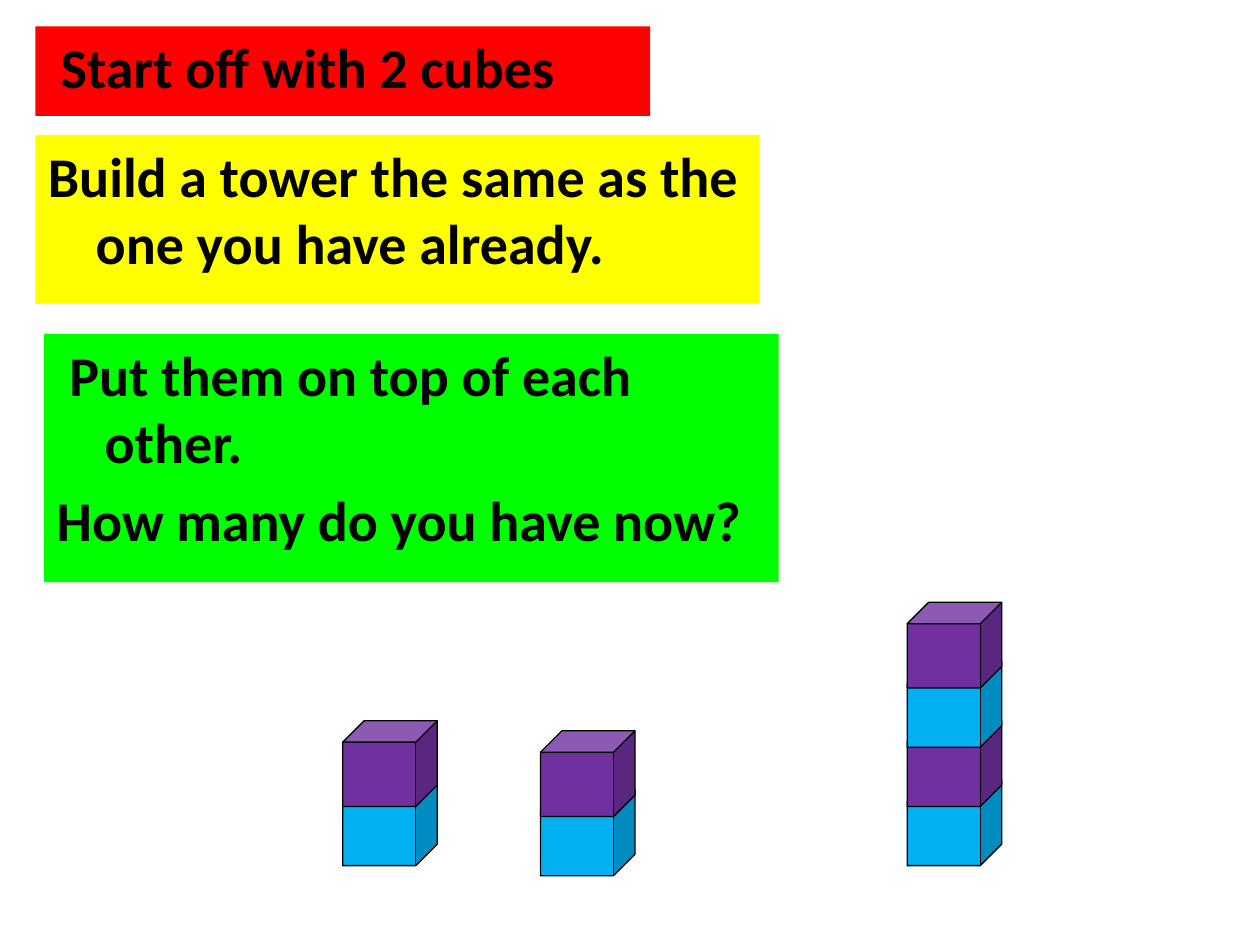
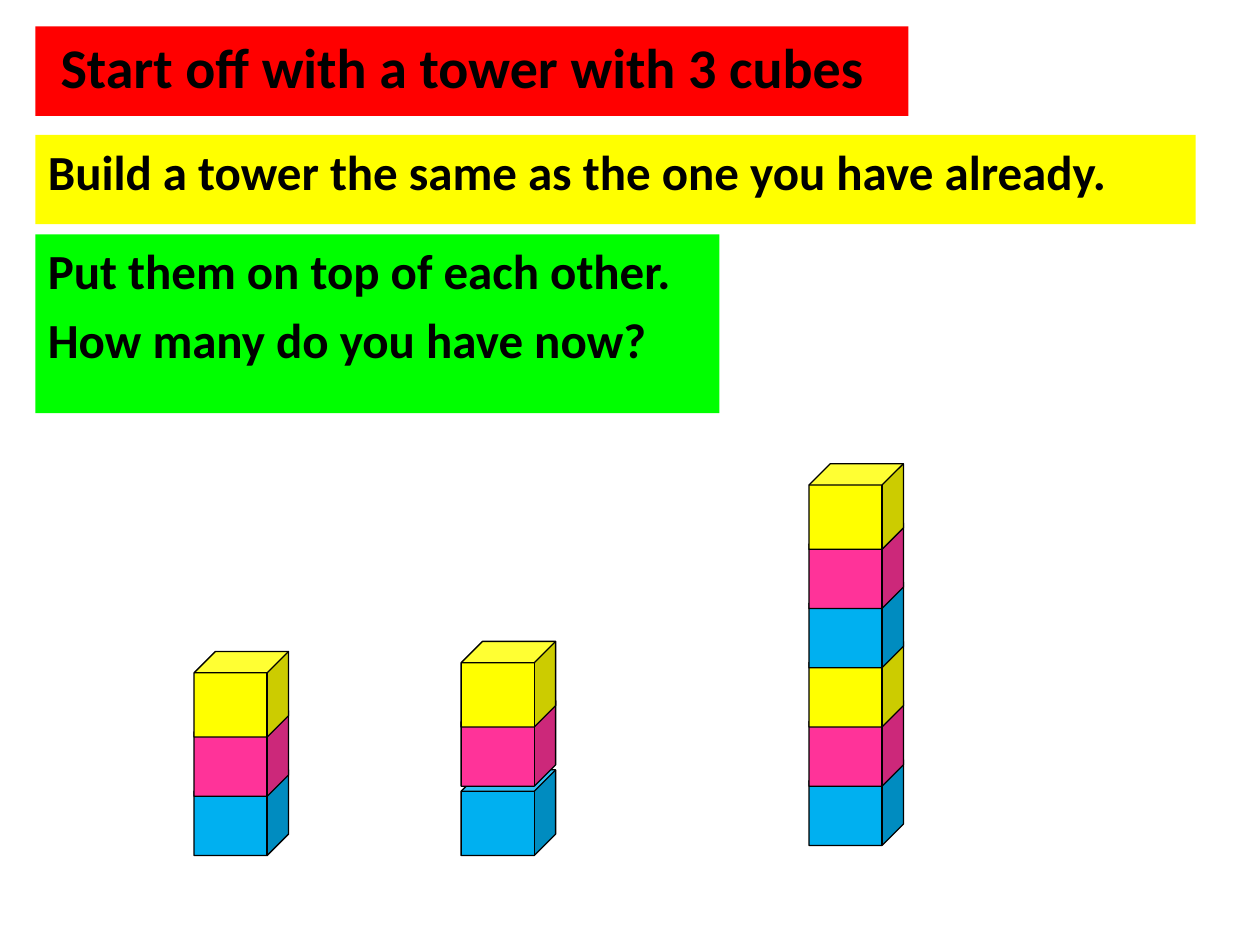
import pptx
import pptx.dml.color
import pptx.enum.shapes
import pptx.enum.text
import pptx.oxml
import pptx.util
from pptx.util import Inches

FONT = "Calibri"
BLACK = "000000"
RED, YELLOW, GREEN = "FF0000", "FFFF00", "00FF00"
BLUE, PURPLE, PINK = "00B0F0", "7030A0", "FF3399"
TWO_CONTENT = 3
HANGING = 0.38
CUBE_WIDTH, CUBE_HEIGHT, CUBE_STEP = 0.75, 0.68, 0.47


def set_fill(shape, colour):
    shape.fill.solid()
    shape.fill.fore_color.rgb = pptx.dml.color.RGBColor.from_string(colour)


def format_paragraph(para, size, space_before):
    properties = para._p.get_or_add_pPr()
    properties.set("marL", str(Inches(HANGING)))
    properties.set("indent", str(-Inches(HANGING)))
    properties.append(pptx.oxml.parse_xml(
        '<a:buNone xmlns:a="http://schemas.openxmlformats.org/drawingml/2006/main"/>'))
    para.alignment = pptx.enum.text.PP_ALIGN.LEFT
    para.space_before = pptx.util.Pt(space_before)
    para.font.name = FONT
    para.font.size = pptx.util.Pt(size)
    para.font.bold = True
    para.font.color.rgb = pptx.dml.color.RGBColor.from_string(BLACK)


def fill_instruction(box, left, top, width, height, colour, size, lines):
    box.left, box.top = Inches(left), Inches(top)
    box.width, box.height = Inches(width), Inches(height)
    set_fill(box, colour)
    frame = box.text_frame
    frame.text = "\n".join(lines)
    frame.word_wrap = True
    frame.auto_size = pptx.enum.text.MSO_AUTO_SIZE.NONE
    frame.vertical_anchor = pptx.enum.text.MSO_ANCHOR.TOP
    for number, para in enumerate(frame.paragraphs):
        format_paragraph(para, size, 0.2 * size if number else 0)


def add_instructions(page, instructions):
    for box, instruction in zip(page.placeholders, instructions):
        fill_instruction(box, *instruction)


def add_cube(page, left, top, colour):
    cube = page.shapes.add_shape(
        pptx.enum.shapes.MSO_SHAPE.CUBE,
        Inches(left), Inches(top), Inches(CUBE_WIDTH), Inches(CUBE_HEIGHT))
    cube.shadow.inherit = False
    set_fill(cube, colour)
    cube.line.color.rgb = pptx.dml.color.RGBColor.from_string(BLACK)
    cube.line.width = pptx.util.Pt(0.75)


def add_tower(page, left, bottom_cube_top, colours):
    for level, colour in enumerate(colours):
        add_cube(page, left, bottom_cube_top - level * CUBE_STEP, colour)


def build_two_cubes(page):
    add_instructions(page, [
        (0.28, 0.21, 4.88, 0.71, RED, 32, [" Start off with 2 cubes"]),
        (0.28, 1.07, 5.75, 1.34, YELLOW, 32,
         ["Build a tower the same as the one you have already."]),
        (0.35, 2.65, 5.83, 1.97, GREEN, 32,
         [" Put them on top of each other.", "How many do you have now?"]),
    ])
    tower = [BLUE, PURPLE]
    add_tower(page, 2.72, 6.19, tower)
    add_tower(page, 4.29, 6.27, tower)
    add_tower(page, 7.2, 6.19, tower * 2)


def build_three_cubes(page):
    add_instructions(page, [
        (0.28, 0.21, 6.93, 0.71, RED, 32, [" Start off with a tower with 3 cubes"]),
        (0.28, 1.07, 9.21, 0.71, YELLOW, 28,
         ["Build a tower the same as the one you have already."]),
        (0.28, 1.86, 5.43, 1.42, GREEN, 28,
         ["Put them on top of each other.", "How many do you have now?"]),
    ])
    tower = [BLUE, PINK, YELLOW]
    add_tower(page, 1.54, 6.11, tower)
    add_cube(page, 3.66, 6.11, tower[0])
    add_tower(page, 3.66, 5.56, tower[1:])
    add_tower(page, 6.42, 6.03, tower * 2)


def main():
    deck = pptx.Presentation()
    deck.slide_width, deck.slide_height = Inches(10), Inches(7.5)
    for build in (build_two_cubes, build_three_cubes):
        build(deck.slides.add_slide(deck.slide_layouts[TWO_CONTENT]))
    deck.save("out.pptx")


if __name__ == "__main__":
    main()
